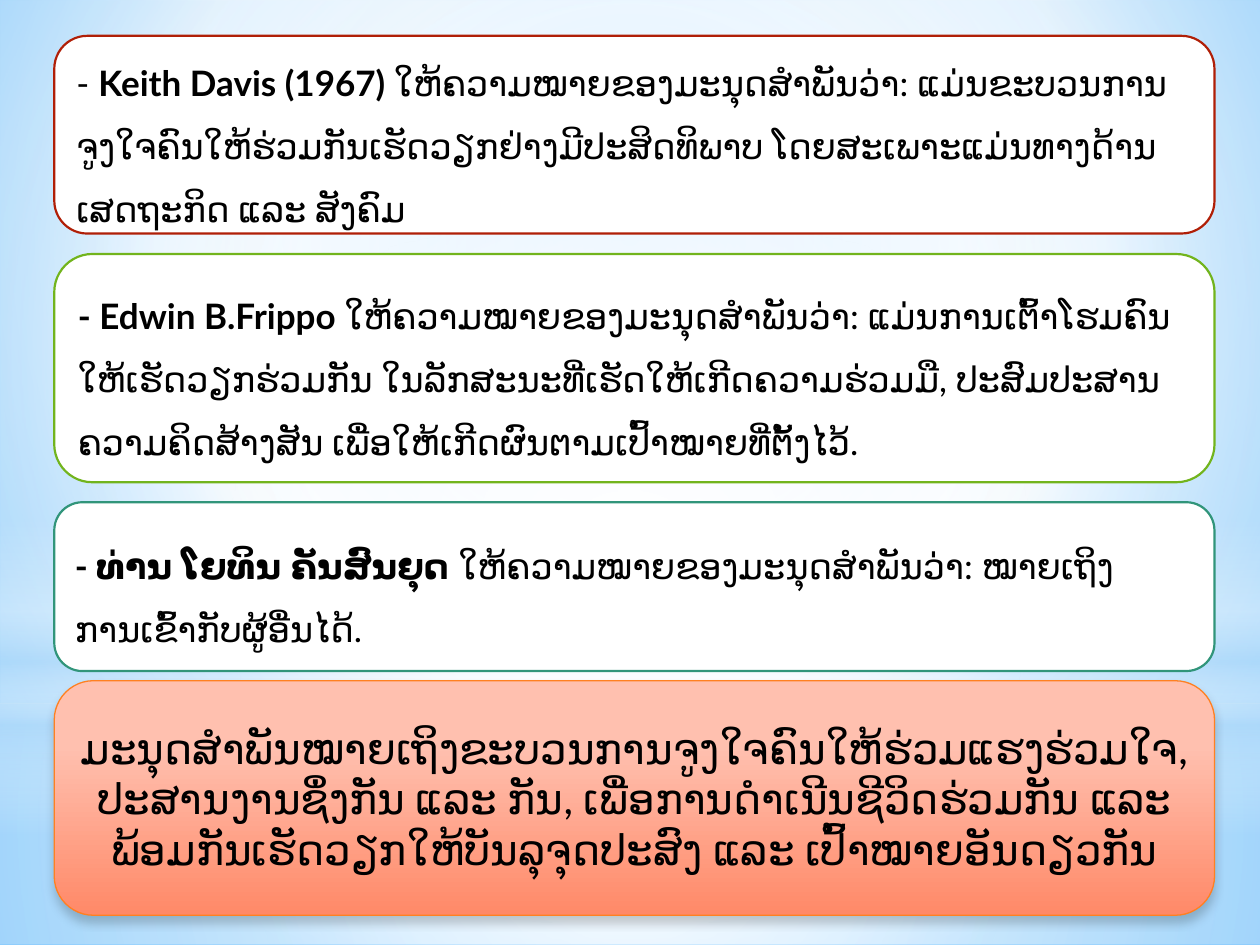
"""Build a slide of human relations definitions in four rounded panels."""
from lxml.etree import SubElement
from pptx import Presentation
from pptx.dml.color import RGBColor
from pptx.enum.shapes import MSO_SHAPE as Shape
from pptx.enum.text import MSO_ANCHOR as Anchor, PP_ALIGN as Align
from pptx.oxml.ns import qn
from pptx.util import Pt

WIDTH, HEIGHT = 720, 540
PANEL_LEFT, PANEL_WIDTH = 31, 663
CENTER = (50, 50, 50, 50)
BACKDROP = [(0, "9ED5FF", 100), (60, "FFFFFF", 100), (100, "5BB9FF", 100)]
GLOWS = [
    (Shape.RECTANGLE, 402, 138, CENTER,
     [(0, "FFFFFF", 91), (37, "FFFFFF", 76), (100, "B4DCFA", 79)]),
    (Shape.RECTANGLE, 0, 402, CENTER,
     [(0, "FFFFFF", 89), (48, "FFFFFF", 62), (100, "B4DCFA", 79)]),
    (Shape.RECTANGLE, 297, 180, None,
     [(0, "FFFFFF", 0), (29, "FFFFFF", 30), (45, "B4DCFA", 40),
      (55, "FFFFFF", 26), (65, "B4DCFA", 60), (100, "FFFFFF", 0)]),
    (Shape.OVAL, 126, 402, CENTER, [(0, "FFFFFF", 100), (56, "FFFFFF", 0)]),
]
DEFINITIONS = [
    (20.5, 113, "B01F07", 4, [
        ("- ", False), ("Keith Davis (1967) ", True),
        ("ໃຫ້ຄວາມໝາຍຂອງມະນຸດສຳພັນວ່າ: ແມ່ນຂະບວນການຈູງໃຈຄົນໃຫ້ຮ່ວມກັນເຮັດວຽກຢ່າງມີປະສິດທິພາບ ໂດຍສະເພາະແມ່ນທາງດ້ານເສດຖະກິດ ແລະ ສັງຄົມ", False)]),
    (145.2, 130.4, "72B41D", 0, [
        ("- Edwin B.Frippo ", True),
        ("ໃຫ້ຄວາມໝາຍຂອງມະນຸດສຳພັນວ່າ: ແມ່ນການເຕົ້າໂຮມຄົນໃຫ້ເຮັດວຽກຮ່ວມກັນ ໃນລັກສະນະທີ່ເຮັດໃຫ້ເກີດຄວາມຮ່ວມມື, ປະສົມປະສານຄວາມຄິດສ້າງສັນ ເພື່ອໃຫ້ເກີດຜົນຕາມເປົ້າໝາຍທີ່ຕັ້ງໄວ້.", False)]),
    (287, 96.5, "31957A", 0, [
        ("- ທ່ານ ໂຍທິນ ຄັນສົນຍຸດ ", True),
        ("ໃຫ້ຄວາມໝາຍຂອງມະນຸດສຳພັນວ່າ: ໝາຍເຖິງການເຂົ້າກັບຜູ້ອື່ນໄດ້.", False)]),
]
SUMMARY = "ມະນຸດສຳພັນໝາຍເຖິງຂະບວນການຈູງໃຈຄົນໃຫ້ຮ່ວມແຮງຮ່ວມໃຈ, ປະສານງານຊຶ່ງກັນ ແລະ ກັນ, ເພື່ອການດຳເນີນຊີວິດຮ່ວມກັນ ແລະ ພ້ອມກັນເຮັດວຽກໃຫ້ບັນລຸຈຸດປະສົງ ແລະ ເປົ້າໝາຍອັນດຽວກັນ"
SUMMARY_STOPS = [(28, "FFC0AF", 100), (100, "FF8968", 100)]


def color(value):
    return RGBColor.from_string(value)


def add_color(parent, value, opacity):
    tone = SubElement(parent, qn("a:srgbClr"), val=value)
    if opacity < 100:
        SubElement(tone, qn("a:alpha"), val=str(opacity * 1000))


def set_gradient(parent, fill, stops, focus=None):
    fill.solid()
    solid = parent.find(qn("a:solidFill"))
    gradient = SubElement(parent, qn("a:gradFill"), rotWithShape="1")
    parent.replace(solid, gradient)
    stop_list = SubElement(gradient, qn("a:gsLst"))
    for position, value, opacity in stops:
        stop = SubElement(stop_list, qn("a:gs"), pos=str(position * 1000))
        add_color(stop, value, opacity)
    if focus:
        circle = SubElement(gradient, qn("a:path"), path="circle")
        sides = {side: str(part * 1000) for side, part in zip("ltrb", focus)}
        SubElement(circle, qn("a:fillToRect"), **sides)
    else:
        SubElement(gradient, qn("a:lin"), ang="5400000", scaled="0")


def add_shape(page, kind, left, top, width, height):
    shape = page.shapes.add_shape(kind, Pt(left), Pt(top), Pt(width), Pt(height))
    shape.shadow.inherit = False
    return shape


def add_panel(page, top, height, border, weight, size, align, spans):
    panel = add_shape(page, Shape.ROUNDED_RECTANGLE, PANEL_LEFT, top, PANEL_WIDTH, height)
    panel.fill.solid()
    panel.fill.fore_color.rgb = color("FFFFFF")
    panel.line.color.rgb = color(border)
    panel.line.width = Pt(weight)
    frame = panel.text_frame
    frame.word_wrap = True
    frame.vertical_anchor = Anchor.MIDDLE
    para = frame.paragraphs[0]
    para.alignment = align
    for text, bold in spans:
        span = para.add_run()
        span.text = text
        span.font.name = "Lato"
        span.font.size = Pt(size)
        span.font.bold = bold
        span.font.color.rgb = color("000000")
    return panel


def add_shadow(shape):
    effects = shape.element.spPr.find(qn("a:effectLst"))
    shadow = SubElement(effects, qn("a:outerShdw"), blurRad=str(Pt(5)), dist=str(Pt(4)),
                        dir="5400000", rotWithShape="0")
    add_color(shadow, "000000", 20)


def main():
    deck = Presentation()
    deck.slide_width, deck.slide_height = Pt(WIDTH), Pt(HEIGHT)
    page = deck.slides.add_slide(deck.slide_layouts[6])
    backdrop = page.background.fill
    backdrop.solid()
    set_gradient(page.element.find(".//" + qn("p:bgPr")), backdrop, BACKDROP, (20, 10, 20, 60))

    for kind, top, height, focus, stops in GLOWS:
        glow = add_shape(page, kind, 0, top, WIDTH, height)
        set_gradient(glow.element.spPr, glow.fill, stops, focus)
        glow.line.fill.background()

    for top, height, border, space, spans in DEFINITIONS:
        panel = add_panel(page, top, height, border, 1.25, 20, Align.LEFT, spans)
        para = panel.text_frame.paragraphs[0]
        para.line_spacing = 1.5
        para.space_before = Pt(space)

    summary = add_panel(page, 389, 134, "FF8021", 0.75, 24, Align.CENTER, [(SUMMARY, False)])
    set_gradient(summary.element.spPr, summary.fill, SUMMARY_STOPS)
    add_shadow(summary)
    deck.save("out.pptx")


if __name__ == "__main__":
    main()
